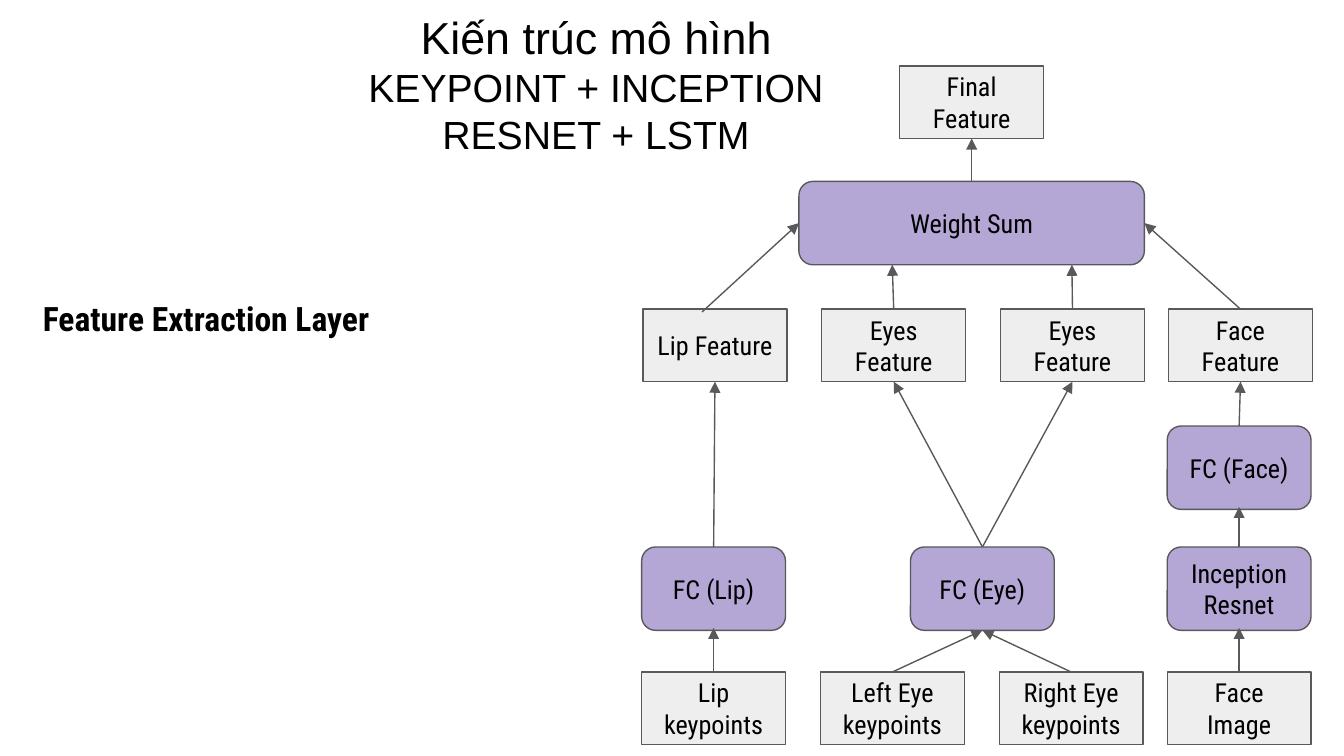
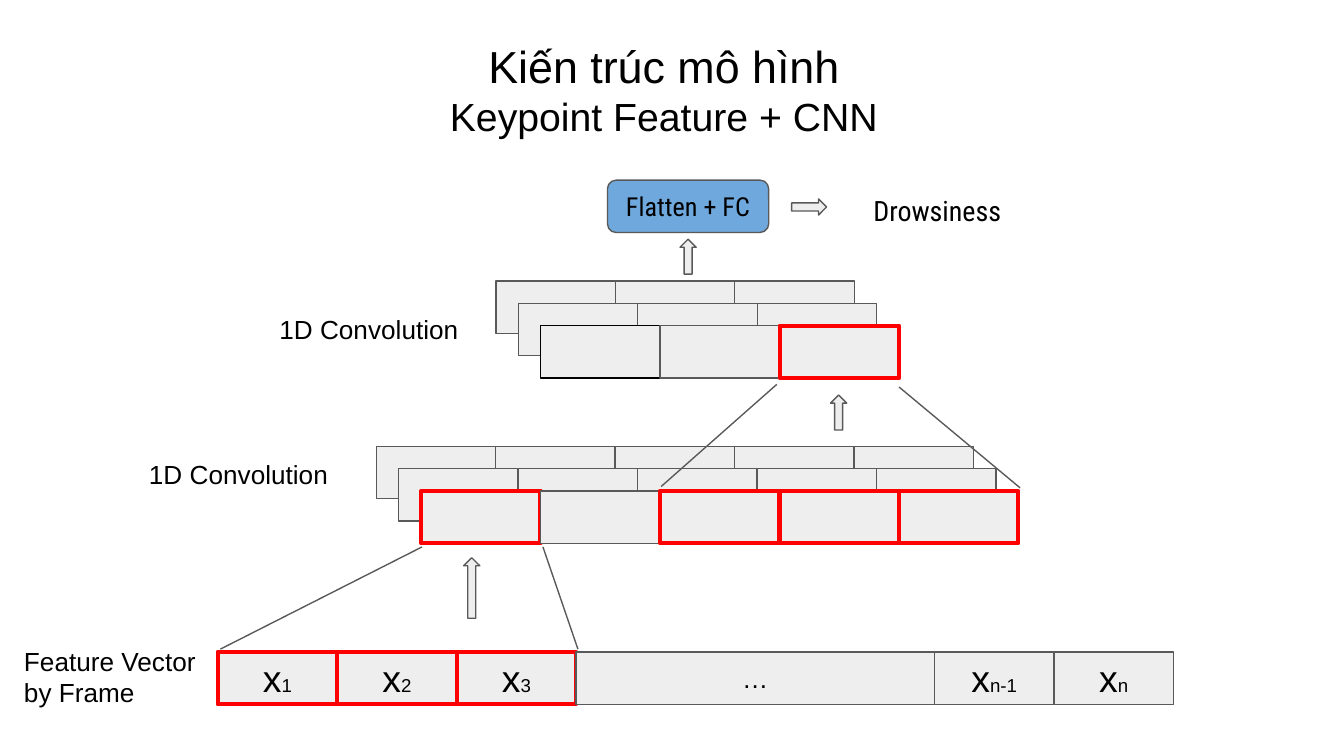
import lxml.etree
import pptx
import pptx.dml.color
import pptx.enum.shapes
import pptx.enum.text
import pptx.oxml.ns
import pptx.util

SHAPES = pptx.enum.shapes.MSO_SHAPE
ALIGN = pptx.enum.text.PP_ALIGN
ANCHOR = pptx.enum.text.MSO_ANCHOR
AUTO_SIZE = pptx.enum.text.MSO_AUTO_SIZE

SLIDE_SIZE = (10, 10 * 9 / 16)
BLACK, GRAY, LIGHT, RED = "000000", "595959", "EEEEEE", "FF0000"
PURPLE, BLUE = "B4A7D6", "6FA8DC"
CONDENSED, PLAIN = "Roboto Condensed", "Arial"
MARGINS = dict.fromkeys(
    ("margin_left", "margin_right", "margin_top", "margin_bottom"), pptx.util.Inches(0.1))

TITLE = "Kiến trúc mô hình"
TITLE_SIZES = (24, 21)

# Feature extraction: centre of each column, top of each row
COLUMNS = {"lip": 5.31, "left eye": 6.64, "right eye": 7.97, "face": 9.22,
           "eyes": 7.31, "sum": 7.23}
ROWS = {"final": 0.49, "sum": 1.35, "feature": 2.3, "face layer": 3.17,
        "layer": 4.07, "input": 5}
ROW_SHIFTS = {"feature": 0.01}
DATA_SIZE, LAYER_SIZE, SUM_SIZE = (1.07, 0.54), (1.07, 0.62), (2.57, 0.62)
DATA_BOXES = [
    ("Final Feature", "sum", "final"),
    ("Lip Feature", "lip", "feature"),
    ("Eyes Feature", "left eye", "feature"),
    ("Eyes Feature", "right eye", "feature"),
    ("Face Feature", "face", "feature"),
    ("Lip keypoints", "lip", "input"),
    ("Left Eye keypoints", "left eye", "input"),
    ("Right Eye keypoints", "right eye", "input"),
    ("Face Image", "face", "input"),
]
LAYER_BOXES = [
    ("FC (Face)", "face", "face layer"),
    ("FC (Lip)", "lip", "layer"),
    ("FC (Eye)", "eyes", "layer"),
    ("Inception Resnet", "face", "layer"),
]
SUM_BOXES = [("Weight Sum", "sum", "sum")]

# Points on a box as shares of its width and height
TOP, BOTTOM, LEFT, RIGHT = (0.5, 0), (0.5, 1), (0, 0.5), (1, 0.5)
INNER_BOTTOM = (0.5, 0.97)
FLOWS = [
    (("lip", "input"), TOP, ("lip", "layer"), INNER_BOTTOM),
    (("left eye", "input"), TOP, ("eyes", "layer"), BOTTOM),
    (("right eye", "input"), TOP, ("eyes", "layer"), BOTTOM),
    (("face", "input"), TOP, ("face", "layer"), INNER_BOTTOM),
    (("face", "layer"), TOP, ("face", "face layer"), INNER_BOTTOM),
    (("lip", "layer"), TOP, ("lip", "feature"), BOTTOM),
    (("eyes", "layer"), TOP, ("left eye", "feature"), BOTTOM),
    (("eyes", "layer"), TOP, ("right eye", "feature"), BOTTOM),
    (("face", "face layer"), TOP, ("face", "feature"), BOTTOM),
    (("lip", "feature"), (0.41, 0.04), ("sum", "sum"), LEFT),
    (("left eye", "feature"), TOP, ("sum", "sum"), (0.27, 1)),
    (("right eye", "feature"), TOP, ("sum", "sum"), (0.79, 1)),
    (("face", "feature"), TOP, ("sum", "sum"), RIGHT),
    (("sum", "sum"), TOP, ("sum", "final"), BOTTOM),
]

# Convolution: cells on a regular grid, nine cells to eight inches
CELL_WIDTH, CELL_HEIGHT, SHEET_STEP = 8 / 9, 0.39, 1 / 6
FRAME_ORIGIN = (1.62, 4.85)
# variable, subscript, cells spanned, outline
FRAMES = [("x", "1", 1, RED), ("x", "2", 1, RED), ("x", "3", 1, RED),
          ("…", "", 3, GRAY), ("x", "n-1", 1, GRAY), ("x", "n", 1, GRAY)]
# origin of the rear sheet, outlines of the front sheet
CONVOLUTIONS = [
    ((2.8, 3.32), [RED, GRAY, RED, RED, RED]),
    ((3.69, 2.09), [BLACK, GRAY, RED]),
]
PROJECTIONS = [((1.64, 4.83), (3.14, 4.07)), ((4.3, 4.83), (4.04, 4.07)),
               ((4.92, 3.62), (5.78, 2.86)), ((7.59, 3.63), (6.69, 2.88))]
# left, top, length, rotation
BLOCK_ARROWS = [(5.96, 1.41, 0.26, 90), (5.06, 1.78, 0.26, 0),
                (6.18, 2.94, 0.26, 0), (3.45, 4.15, 0.45, 0)]
CAPTIONS = [
    ("Drowsiness", (6.4, 1.34, 1.2, 0.45), 15, CONDENSED),
    ("1D Convolution", (1.01, 3.31, 6.08, 0.44), 14, PLAIN),
    ("1D Convolution", (1.98, 2.23, 6.08, 0.44), 14, PLAIN),
    ("Feature Vector by Frame", (0.08, 4.7, 1.51, 0.67), 14, PLAIN),
]


def inches(values):
    return [pptx.util.Inches(value) for value in values]


def set_color(color_format, color):
    color_format.rgb = pptx.dml.color.RGBColor.from_string(color)


def set_attributes(target, values):
    for name, value in values.items():
        setattr(target, name, value)


def style_line(line, color=GRAY, width=0.75):
    line.fill.solid()
    set_color(line.fill.fore_color, color)
    line.width = pptx.util.Pt(width)


def write(shape, paragraphs, font=CONDENSED, align=ALIGN.CENTER, bold=False, **frame_format):
    """Fill a shape with paragraphs, each a list of (text, size) runs."""
    frame = shape.text_frame
    set_attributes(frame, {"word_wrap": True, **MARGINS, **frame_format})
    for index, runs in enumerate(paragraphs):
        paragraph = frame.add_paragraph() if index else frame.paragraphs[0]
        paragraph.alignment = align
        for text, size in runs:
            run = paragraph.add_run()
            run.text = text
            set_attributes(run.font, {"name": font, "size": pptx.util.Pt(size), "bold": bold})
            set_color(run.font.color, BLACK)


def add_title(slide, subtitle, box):
    paragraphs = [[line] for line in zip((TITLE, subtitle), TITLE_SIZES)]
    write(slide.shapes.add_textbox(*inches(box)), paragraphs, PLAIN,
          vertical_anchor=ANCHOR.TOP)


def add_caption(slide, text, box, size, font, bold=False):
    write(slide.shapes.add_textbox(*inches(box)), [[(text, size)]], font, ALIGN.LEFT, bold,
          auto_size=AUTO_SIZE.SHAPE_TO_FIT_TEXT)


def add_block(slide, kind, box, fill=LIGHT, outline=GRAY, runs=(), font=CONDENSED):
    shape = slide.shapes.add_shape(kind, *inches(box))
    shape.shadow.inherit = False
    shape.fill.solid()
    set_color(shape.fill.fore_color, fill)
    style_line(shape.line, outline, 2.25 if outline == RED else 0.75)
    if runs:
        write(shape, [runs], font, vertical_anchor=ANCHOR.MIDDLE)
    return shape


def add_line(slide, start, end, arrow=False):
    connector = slide.shapes.add_connector(
        pptx.enum.shapes.MSO_CONNECTOR.STRAIGHT, *inches(start + end))
    style_line(connector.line)
    properties = connector._element.spPr
    if arrow:
        lxml.etree.SubElement(properties.find(pptx.oxml.ns.qn("a:ln")),
                              pptx.oxml.ns.qn("a:tailEnd"), type="triangle")
    lxml.etree.SubElement(properties, pptx.oxml.ns.qn("a:effectLst"))


def build_extraction(slide):
    boxes = {}
    for group, kind, (width, height), fill in (
            (DATA_BOXES, SHAPES.RECTANGLE, DATA_SIZE, LIGHT),
            (LAYER_BOXES, SHAPES.ROUNDED_RECTANGLE, LAYER_SIZE, PURPLE),
            (SUM_BOXES, SHAPES.ROUNDED_RECTANGLE, SUM_SIZE, PURPLE)):
        for text, column, row in group:
            left = COLUMNS[column] + ROW_SHIFTS.get(row, 0) - width / 2
            boxes[column, row] = (left, ROWS[row], width, height)
            add_block(slide, kind, boxes[column, row], fill, runs=[(text, 14)])

    def point(key, shares):
        left, top, width, height = boxes[key]
        return left + shares[0] * width, top + shares[1] * height

    for source, source_shares, target, target_shares in FLOWS:
        add_line(slide, point(source, source_shares), point(target, target_shares), arrow=True)
    add_title(slide, "KEYPOINT + INCEPTION RESNET + LSTM", (2.23, -0.03, 4.41, 1.03))
    add_caption(slide, "Feature Extraction Layer", (0.22, 2.12, 2.69, 0.5), 18, CONDENSED, True)


def build_convolution(slide):
    add_title(slide, "Keypoint Feature + CNN", (2.09, 0.19, 5.7, 1.03))
    add_block(slide, SHAPES.ROUNDED_RECTANGLE, (4.52, 1.34, 1.2, 0.39), BLUE,
              runs=[("Flatten + FC", 14)])

    left, top = FRAME_ORIGIN
    for variable, subscript, span, outline in FRAMES:
        width = span * CELL_WIDTH
        runs = [(variable, 20), (subscript, 10)] if subscript else [(variable, 14)]
        add_block(slide, SHAPES.RECTANGLE, (left, top, width, CELL_HEIGHT),
                  outline=outline, runs=runs, font=PLAIN)
        left += width

    for (left, top), front in CONVOLUTIONS:
        rear = [GRAY] * len(front)
        for depth, outlines in enumerate((rear, rear, front)):
            shift = depth * SHEET_STEP
            for index, outline in enumerate(outlines):
                add_block(slide, SHAPES.RECTANGLE,
                          (left + shift + index * CELL_WIDTH, top + shift,
                           CELL_WIDTH, CELL_HEIGHT), outline=outline)

    for start, end in PROJECTIONS:
        add_line(slide, start, end)
    for left, top, length, rotation in BLOCK_ARROWS:
        add_block(slide, SHAPES.UP_ARROW, (left, top, 0.12, length)).rotation = rotation
    for caption in CAPTIONS:
        add_caption(slide, *caption)


def main():
    presentation = pptx.Presentation()
    presentation.slide_width, presentation.slide_height = inches(SLIDE_SIZE)
    for build in (build_extraction, build_convolution):
        build(presentation.slides.add_slide(presentation.slide_layouts[6]))
    presentation.save("out.pptx")


if __name__ == "__main__":
    main()
